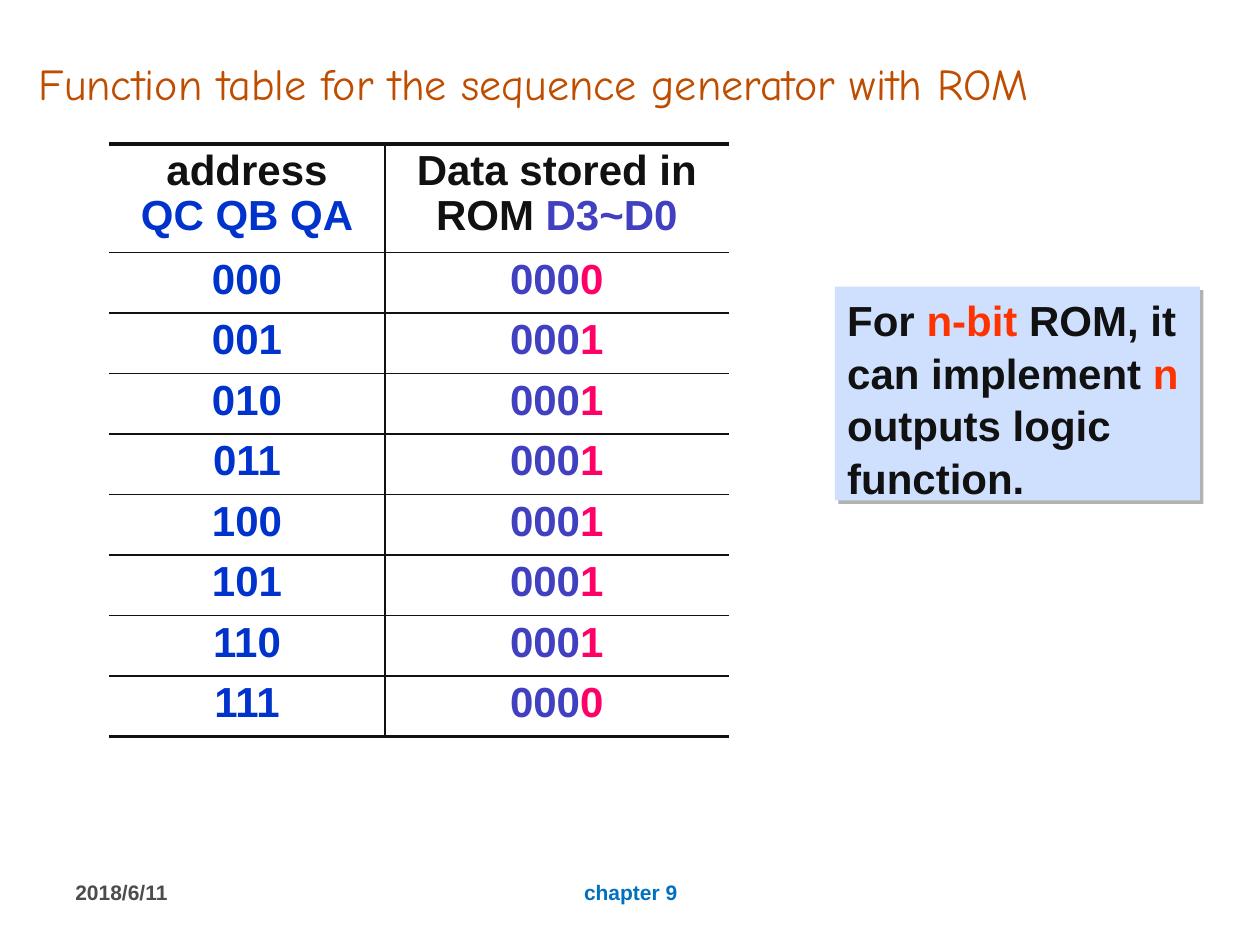
from lxml import etree
from pptx import Presentation
from pptx import util as u
from pptx.dml.color import RGBColor
from pptx.enum import shapes, text
from pptx.oxml import ns, xmlchemy

BLACK = RGBColor(0x11, 0x11, 0x11)
RUST = RGBColor(0xBF, 0x4D, 0x00)
BLUE = RGBColor(0x00, 0x33, 0xCC)
VIOLET = RGBColor(0x40, 0x40, 0xC0)
PINK = RGBColor(0xFF, 0x00, 0x66)
RED = RGBColor(0xFF, 0x33, 0x00)
GRAY = RGBColor(0x4C, 0x4C, 0x4C)
FOOTER_BLUE = RGBColor(0x00, 0x70, 0xC0)
PALE_BLUE = RGBColor(0xCE, 0xE0, 0xFE)
SHADOW = RGBColor(0xB2, 0xB2, 0xB2)

LEFT, CENTER = text.PP_ALIGN.LEFT, text.PP_ALIGN.CENTER
BODY = {"name": "Arial", "size": u.Pt(24), "bold": True}
TITLE = {"name": "Comic Neue", "size": u.Pt(25.2), "bold": False}
FOOTER = {**BODY, "size": u.Pt(12)}


class SlideBuilder:
    def __init__(self, slide):
        self.slide = slide

    def fill_text(self, frame, runs, style=BODY, align=LEFT, spacing=1.0):
        frame.word_wrap = True
        paragraph = frame.paragraphs[0]
        paragraph.alignment = align
        paragraph.line_spacing = spacing
        for content, color in runs:
            if content == "\n":
                paragraph.add_line_break()
                continue
            run = paragraph.add_run()
            run.text = content
            for attribute, value in style.items():
                setattr(run.font, attribute, value)
            run.font.color.rgb = color

    def label(self, box, runs, style, align=LEFT):
        shape = self.slide.shapes.add_textbox(*map(u.Cm, box))
        shape.text_frame.vertical_anchor = text.MSO_ANCHOR.MIDDLE
        self.fill_text(shape.text_frame, runs, style, align)

    def note(self, box, runs):
        shape = self.slide.shapes.add_shape(shapes.MSO_SHAPE.RECTANGLE, *map(u.Cm, box))
        shape.shadow.inherit = False
        shape.fill.solid()
        shape.fill.fore_color.rgb = PALE_BLUE
        shape.line.fill.background()
        shape.text_frame.vertical_anchor = text.MSO_ANCHOR.TOP
        self.fill_text(shape.text_frame, runs, spacing=1.04)
        effects = shape._element.spPr.find(ns.qn("a:effectLst"))
        shadow = etree.SubElement(effects, ns.qn("a:outerShdw"), dist=str(u.Pt(2.8)),
                                  dir="2700000", algn="ctr", rotWithShape="0")
        etree.SubElement(shadow, ns.qn("a:srgbClr"), val=str(SHADOW))

    def border(self, cell, side, width):
        properties = cell._tc.get_or_add_tcPr()
        line = xmlchemy.OxmlElement(f"a:ln{side}")
        line.set("w", str(u.Pt(width)))
        if width:
            fill = etree.SubElement(line, ns.qn("a:solidFill"))
            etree.SubElement(fill, ns.qn("a:srgbClr"), val=str(BLACK))
        else:
            etree.SubElement(line, ns.qn("a:noFill"))
        properties.append(line)

    def table(self, left, top, widths, heights, rows):
        box = left, top, sum(widths), sum(heights)
        table = self.slide.shapes.add_table(len(rows), len(widths), *map(u.Cm, box)).table
        table.first_row = table.horz_banding = False
        for column, width in zip(table.columns, widths):
            column.width = u.Cm(width)
        last_row, last_column = len(rows) - 1, len(widths) - 1
        for r, row in enumerate(rows):
            table.rows[r].height = u.Cm(heights[r])
            for c, runs in enumerate(row):
                cell = table.cell(r, c)
                self.fill_text(cell.text_frame, runs, align=CENTER, spacing=0.95)
                self.border(cell, "L", 1 if c else 0)
                self.border(cell, "R", 1 if c < last_column else 0)
                self.border(cell, "T", 1 if r else 2.25)
                self.border(cell, "B", 1 if r < last_row else 2.25)
                cell.fill.background()


def main():
    presentation = Presentation()
    presentation.slide_width, presentation.slide_height = u.Cm(25.4), u.Cm(19.05)
    builder = SlideBuilder(presentation.slides.add_slide(presentation.slide_layouts[6]))

    builder.label((0.53, 0.64, 24.54, 2.08),
                  [("Function table for the sequence generator with ROM", RUST)], TITLE)

    header = [
        [("address", BLACK), ("\n", BLACK), ("QC QB QA", BLUE)],
        [("Data stored in ROM", BLACK), (" D3~D0", VIOLET)],
    ]
    outputs = "01111110"
    data = [[[(f"{address:03b}", BLUE)], [("000", VIOLET), (bit, PINK)]]
            for address, bit in enumerate(outputs)]
    builder.table(2.2, 2.9, (5.56, 6.93), [2.14] + [1.2] * len(data), [header] + data)

    builder.label((1.27, 17.35, 5.92, 1.27), [("2018/6/11", GRAY)], FOOTER)
    builder.label((8.69, 17.35, 8.05, 1.27), [("chapter 9", FOOTER_BLUE)], FOOTER, CENTER)

    builder.note((16.83, 5.78, 7.36, 4.31), [
        ("For ", BLACK), ("n-bit", RED), (" ROM, it can implement ", BLACK),
        ("n", RED), (" outputs logic function.", BLACK),
    ])
    presentation.save("out.pptx")


if __name__ == "__main__":
    main()
